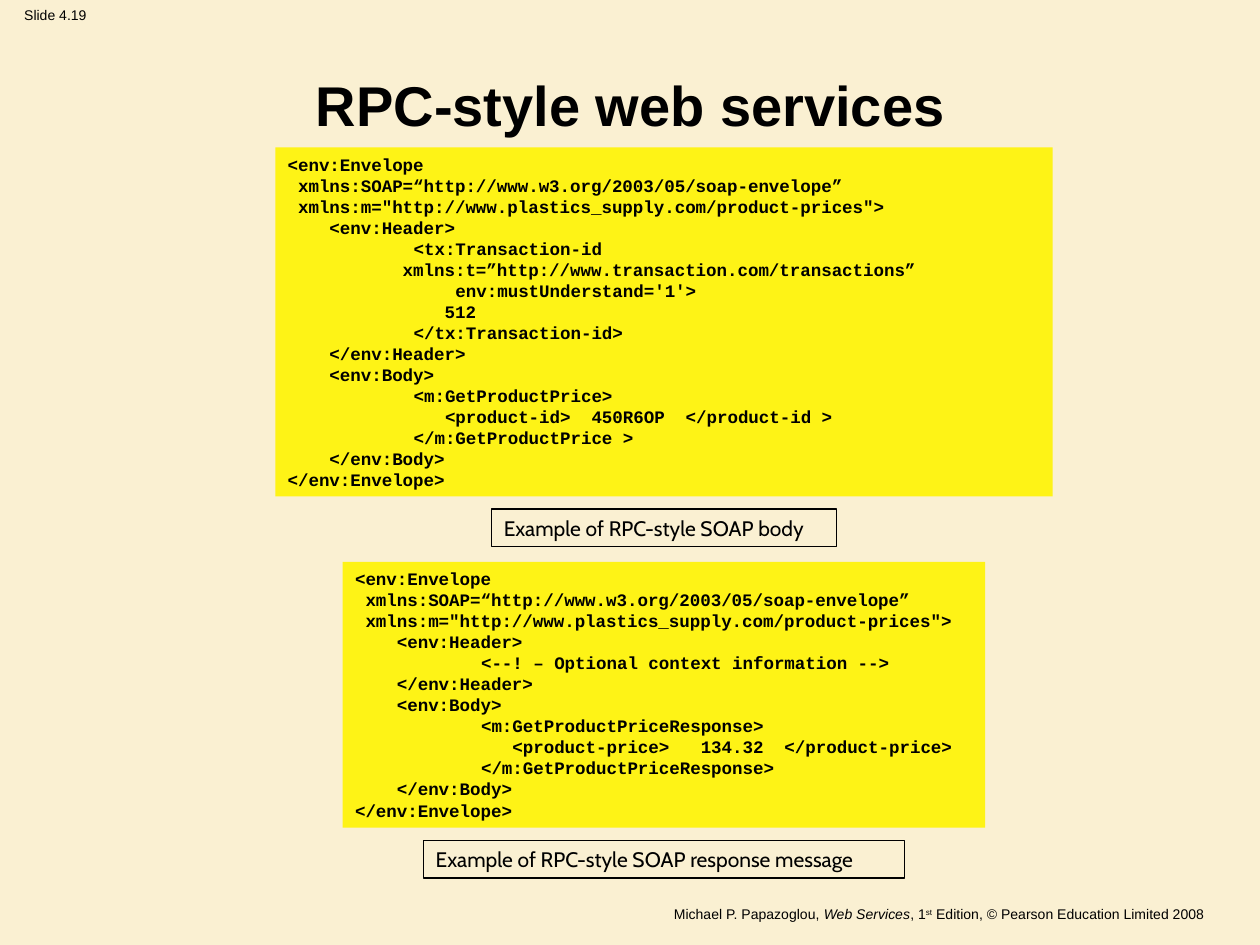
from lxml.etree import SubElement
from pptx import Presentation
from pptx.dml.color import RGBColor
from pptx.enum.shapes import MSO_SHAPE as Preset
from pptx.enum.text import MSO_ANCHOR as Anchor, MSO_AUTO_SIZE as AutoSize, PP_ALIGN as Align
from pptx.oxml.ns import qn
from pptx.util import Inches, Pt

COLORS = {"background": "FAF0D2", "code": "FEF316", "ink": "000000"}
CENTER_X = 5.27

ENVELOPE_START = [
    "<env:Envelope",
    " xmlns:SOAP=“http://www.w3.org/2003/05/soap-envelope”",
    ' xmlns:m="http://www.plastics_supply.com/product-prices">',
    "    <env:Header>",
]
ENVELOPE_END = ["    </env:Body>", "</env:Envelope>"]
BODY_START = ["    </env:Header>", "    <env:Body>"]

REQUEST = [
    *ENVELOPE_START,
    "\t<tx:Transaction-id",
    "           xmlns:t=”http://www.transaction.com/transactions”",
    "\t    env:mustUnderstand='1'>",
    "               512",
    "\t</tx:Transaction-id>",
    *BODY_START,
    "\t<m:GetProductPrice>",
    "\t   <product-id>  450R6OP  </product-id >",
    "\t</m:GetProductPrice >",
    *ENVELOPE_END,
]
RESPONSE = [
    *ENVELOPE_START,
    "\t<--! – Optional context information -->",
    *BODY_START,
    "\t<m:GetProductPriceResponse>",
    "\t   <product-price>   134.32  </product-price>",
    "\t</m:GetProductPriceResponse>",
    *ENVELOPE_END,
]
FOOTER = [
    ("Michael P. Papazoglou, ", {}),
    ("Web Services", {"italic": True}),
    (", 1", {}),
    ("st", {"baseline": 30}),
    (" Edition, © Pearson Education Limited 2008 ", {}),
]


def color(name):
    return RGBColor.from_string(COLORS[name])


def add_tab_stop(paragraph, position):
    tab_list = SubElement(paragraph._p.get_or_add_pPr(), qn("a:tabLst"))
    SubElement(tab_list, qn("a:tab"), pos=str(Inches(position)), algn="l")


def add_run(paragraph, text, font="Arial", size=8, bold=False, italic=False, baseline=0):
    run = paragraph.add_run()
    run.text = text
    run.font.name = font
    run.font.size = Pt(size)
    run.font.bold = bold
    run.font.italic = italic
    run.font.color.rgb = color("ink")
    if baseline:
        run.font._element.set("baseline", str(baseline * 1000))


def write_text(shape, lines, align=Align.LEFT, anchor=Anchor.TOP, **run_format):
    frame = shape.text_frame
    frame.word_wrap = True
    frame.auto_size = AutoSize.NONE
    frame.vertical_anchor = anchor
    for index, line in enumerate(lines):
        paragraph = frame.add_paragraph() if index else frame.paragraphs[0]
        paragraph.alignment = align
        runs = [(line, {})] if isinstance(line, str) else line
        if any("\t" in text for text, _ in runs):
            add_tab_stop(paragraph, 1)
        for text, changes in runs:
            add_run(paragraph, text, **{**run_format, **changes})


def add_label(slide, box, lines, **text_format):
    shape = slide.shapes.add_textbox(*map(Inches, box))
    write_text(shape, lines, **text_format)


def add_centered_box(slide, top, width, height):
    left = CENTER_X - width / 2
    shape = slide.shapes.add_shape(Preset.RECTANGLE, *map(Inches, (left, top, width, height)))
    shape.shadow.inherit = False
    return shape


def add_code(slide, top, width, height, lines):
    shape = add_centered_box(slide, top, width, height)
    shape.fill.solid()
    shape.fill.fore_color.rgb = color("code")
    shape.line.fill.background()
    write_text(shape, lines, font="Courier New", size=10, bold=True)


def add_caption(slide, top, width, text):
    shape = add_centered_box(slide, top, width, 0.3)
    shape.fill.background()
    shape.line.color.rgb = color("ink")
    shape.line.width = Pt(0.75)
    write_text(shape, [text], font="Cabin", size=12)


def set_title(slide, text):
    title = slide.shapes.title
    title.left, title.top, title.width, title.height = map(Inches, (0.17, 0.31, 9.67, 0.83))
    write_text(title, [text], align=Align.CENTER, anchor=Anchor.BOTTOM, size=32, bold=True)


def main():
    presentation = Presentation()
    presentation.slide_width = Inches(10)
    presentation.slide_height = Inches(7.5)
    slide = presentation.slides.add_slide(presentation.slide_layouts[5])
    slide.background.fill.solid()
    slide.background.fill.fore_color.rgb = color("background")

    add_label(slide, (0, 0, 0.88, 0.24), ["Slide 4.19"], align=Align.CENTER)
    add_label(slide, (0.24, 7.14, 9.45, 0.21), [FOOTER], align=Align.RIGHT)
    set_title(slide, "RPC-style web services")
    add_code(slide, 1.17, 6.17, 2.77, REQUEST)
    add_caption(slide, 4.04, 2.74, "Example of RPC-style SOAP body")
    add_code(slide, 4.46, 5.1, 2.11, RESPONSE)
    add_caption(slide, 6.67, 3.82, "Example of RPC-style SOAP response message")
    presentation.save("out.pptx")


if __name__ == "__main__":
    main()
